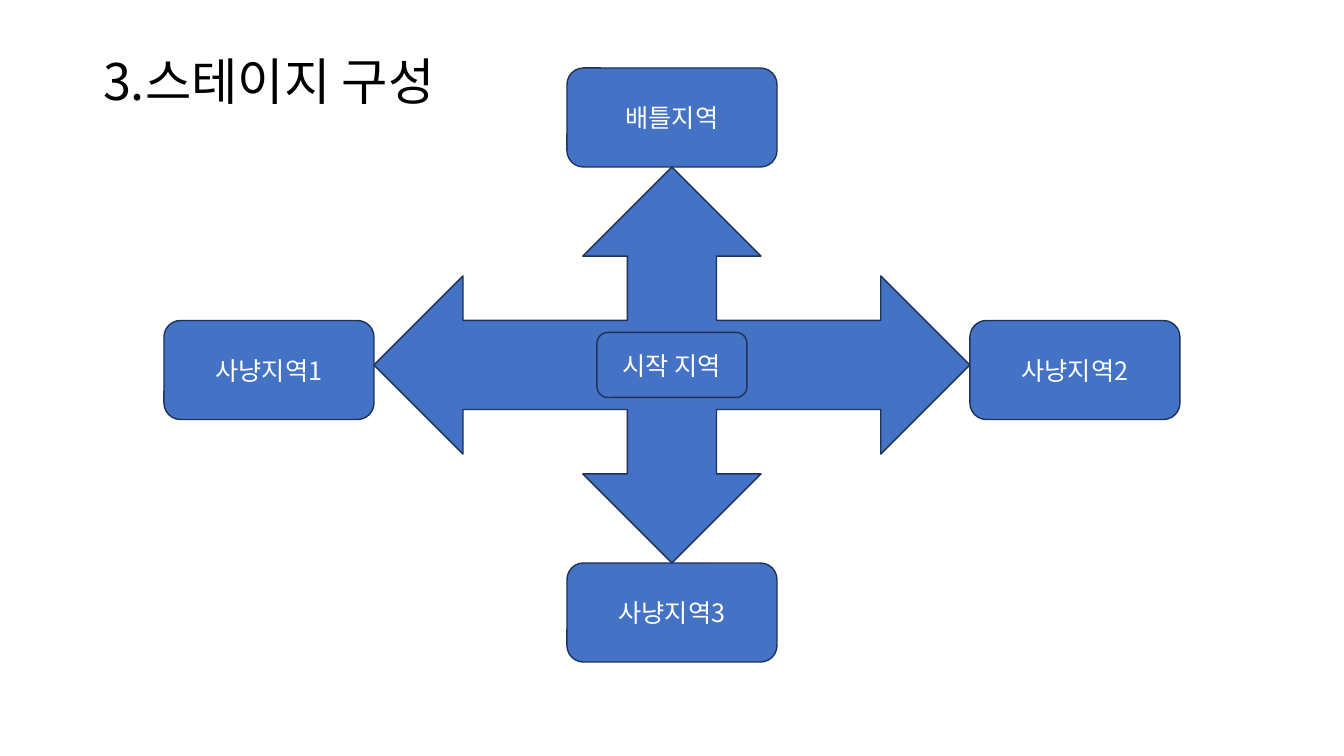
from pptx import Presentation
from pptx.dml.color import RGBColor
from pptx.enum.shapes import MSO_SHAPE as Shape
from pptx.enum.text import MSO_ANCHOR as Anchor, MSO_AUTO_SIZE as AutoSize, PP_ALIGN as Align
from pptx.oxml.ns import qn
from pptx.util import Pt
from lxml.etree import SubElement

PX = 914400 / 100.8
FONT = "Noto Sans CJK KR"
BLUE, NAVY, WHITE, BLACK = "4472C4", "1E3256", "FFFFFF", "000000"
NODE_WIDTH, NODE_HEIGHT = 210, 99
START_WIDTH, START_HEIGHT = 150, 65
SIDE_DROP = 5


def px(length):
    return round(length * PX)


def color(code):
    return RGBColor.from_string(code)


def write(shape, text, size, code, align, anchor):
    frame = shape.text_frame
    frame.word_wrap = True
    frame.auto_size = AutoSize.NONE
    frame.vertical_anchor = anchor
    para = frame.paragraphs[0]
    para.text = text
    para.alignment = align
    font = para.font
    font.name, font.size = FONT, Pt(size)
    font.color.rgb = color(code)
    # Hangul takes its typeface from the East Asian font slot
    SubElement(font._element, qn("a:ea"), typeface=FONT)
    return para


def add_block(page, kind, left, top, width, height, text=""):
    block = page.shapes.add_shape(kind, px(left), px(top), px(width), px(height))
    block.shadow.inherit = False
    block.fill.solid()
    block.fill.fore_color.rgb = color(BLUE)
    block.line.color.rgb = color(NAVY)
    block.line.width = Pt(1)
    if text:
        write(block, text, 18, WHITE, Align.CENTER, Anchor.MIDDLE)


def set_title(page, left, top, width, height):
    title = page.shapes.title
    title.left, title.top = px(left), px(top)
    title.width, title.height = px(width), px(height)
    para = write(title, "3.스테이지 구성", 36, BLACK, Align.LEFT, Anchor.TOP)
    para.line_spacing = 0.9
    para.space_before = Pt(10)


def add_stage_map(page, left, top, width, height):
    """Place the four-way arrow in the box, with one area at each tip."""
    add_block(page, Shape.QUAD_ARROW, left, top, width, height)
    middle_x, middle_y = left + width / 2, top + height / 2
    node_left = middle_x - NODE_WIDTH / 2
    node_top = middle_y - NODE_HEIGHT / 2 + SIDE_DROP
    areas = [
        ("사냥지역2", left + width, node_top),
        ("사냥지역1", left - NODE_WIDTH, node_top),
        ("배틀지역", node_left, top - NODE_HEIGHT),
        ("사냥지역3", node_left, top + height),
    ]
    for name, area_left, area_top in areas:
        add_block(page, Shape.ROUNDED_RECTANGLE, area_left, area_top,
                  NODE_WIDTH, NODE_HEIGHT, name)
    add_block(page, Shape.ROUNDED_RECTANGLE, middle_x - START_WIDTH / 2,
              middle_y - START_HEIGHT / 2, START_WIDTH, START_HEIGHT, "시작 지역")


def main():
    deck = Presentation()
    deck.slide_width, deck.slide_height = px(1344), px(756)
    page = deck.slides.add_slide(deck.slide_layouts[5])
    set_title(page, 93, 52, 1133, 628)
    add_stage_map(page, 374, 167, 596, 396)
    deck.save("out.pptx")


if __name__ == "__main__":
    main()
